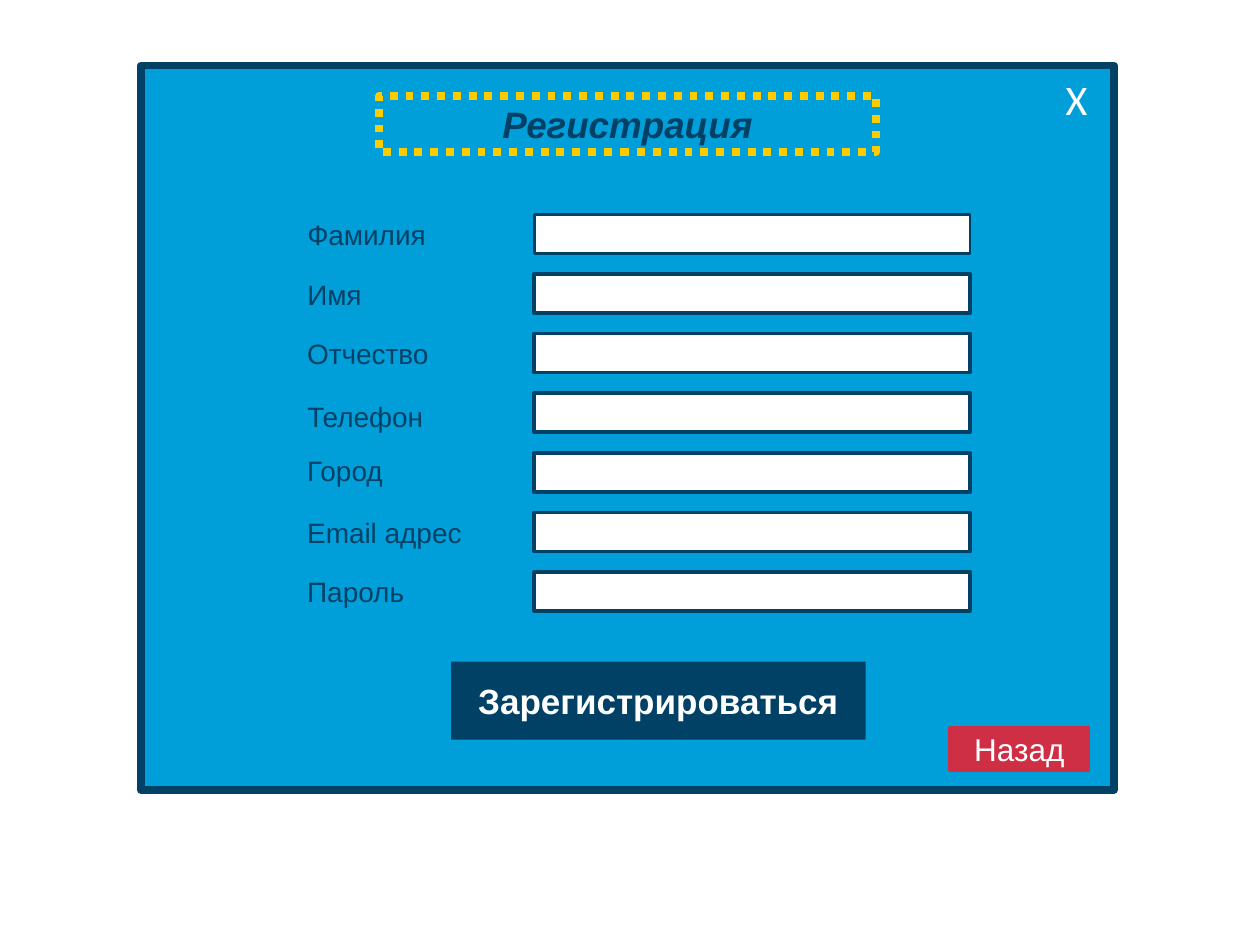
from pptx import Presentation
from pptx.dml.color import RGBColor
from pptx.enum.dml import MSO_LINE
from pptx.enum.shapes import MSO_SHAPE
from pptx.enum.text import MSO_ANCHOR, MSO_AUTO_SIZE, PP_ALIGN
from pptx.util import Inches, Pt

NAVY = RGBColor(0x00, 0x41, 0x65)
BLUE = RGBColor(0x00, 0x9F, 0xDA)
YELLOW = RGBColor(0xFE, 0xCB, 0x00)
RED = RGBColor(0xCF, 0x2F, 0x44)
WHITE = RGBColor(0xFF, 0xFF, 0xFF)

# Content: each field has its label, label width and label top
TITLE = "Регистрация"
FIELDS = [
    ("Фамилия", 1.21, 1.68),
    ("Имя", 1.15, 2.15),
    ("Отчество", 1.20, 2.62),
    ("Телефон", 1.95, 3.12),
    ("Город", 1.94, 3.55),
    ("Email адрес", 1.56, 4.04),
    ("Пароль", 1.93, 4.51),
]
SUBMIT = "Зарегистрироваться"
CLOSE = "Х"
BACK = "Назад"

# Layout in inches
LABEL_LEFT, LABEL_HEIGHT = 2.34, 0.37
INPUT_LEFT, INPUT_WIDTH, INPUT_HEIGHT = 4.24, 3.46, 0.31
FIRST_INPUT, LAST_INPUT = 1.70, 4.54
INPUT_PITCH = (LAST_INPUT - FIRST_INPUT) / (len(FIELDS) - 1)

prs = Presentation()
prs.slide_width, prs.slide_height = Inches(10), Inches(7.5)
slide = prs.slides.add_slide(prs.slide_layouts[6])


def add_box(left, top, width, height, fill=None, line=None, weight=2,
            kind=MSO_SHAPE.RECTANGLE):
    box = slide.shapes.add_shape(
        kind, Inches(left), Inches(top), Inches(width), Inches(height))
    box.shadow.inherit = False
    for part, color in ((box.fill, fill), (box.line.fill, line)):
        if color is None:
            part.background()
        else:
            part.solid()
            part.fore_color.rgb = color
    if line is not None:
        box.line.width = Pt(weight)
    return box


def write(shape, text, size, color=WHITE, font="Arial", bold=False,
          italic=False, align=PP_ALIGN.CENTER, anchor=MSO_ANCHOR.MIDDLE,
          grow=False):
    frame = shape.text_frame
    frame.word_wrap = True
    frame.vertical_anchor = anchor
    if grow:
        frame.auto_size = MSO_AUTO_SIZE.SHAPE_TO_FIT_TEXT
    paragraph = frame.paragraphs[0]
    paragraph.alignment = align
    run = paragraph.add_run()
    run.text = text
    run.font.name, run.font.size = font, Pt(size)
    run.font.bold, run.font.italic = bold, italic
    run.font.color.rgb = color


# Window and title
add_box(1.12, 0.52, 7.72, 5.75, fill=BLUE, line=NAVY, weight=4.5)
title = add_box(3.01, 0.76, 3.94, 0.45, line=YELLOW, weight=4.5)
title.line.dash_style = MSO_LINE.ROUND_DOT
write(title, TITLE, 21, NAVY, bold=True, italic=True,
      anchor=MSO_ANCHOR.TOP, grow=True)

# Form fields
for row, (name, label_width, label_top) in enumerate(FIELDS):
    add_box(INPUT_LEFT, FIRST_INPUT + row * INPUT_PITCH, INPUT_WIDTH,
            INPUT_HEIGHT, fill=WHITE, line=NAVY, weight=2 if row else 1.5)
    label = slide.shapes.add_textbox(
        Inches(LABEL_LEFT), Inches(label_top),
        Inches(label_width), Inches(LABEL_HEIGHT))
    write(label, name, 16, NAVY, align=PP_ALIGN.LEFT,
          anchor=MSO_ANCHOR.TOP, grow=True)

# Buttons
submit = add_box(3.58, 5.25, 3.29, 0.62, fill=NAVY)
write(submit, SUBMIT, 20, bold=True)
close = add_box(8.31, 0.57, 0.47, 0.42, fill=BLUE, line=BLUE,
                kind=MSO_SHAPE.ACTION_BUTTON_CUSTOM)
write(close, CLOSE, 24, font="Calibri")
back = add_box(7.54, 5.78, 1.10, 0.33, fill=RED, line=RED)
write(back, BACK, 18)

prs.save("out.pptx")
